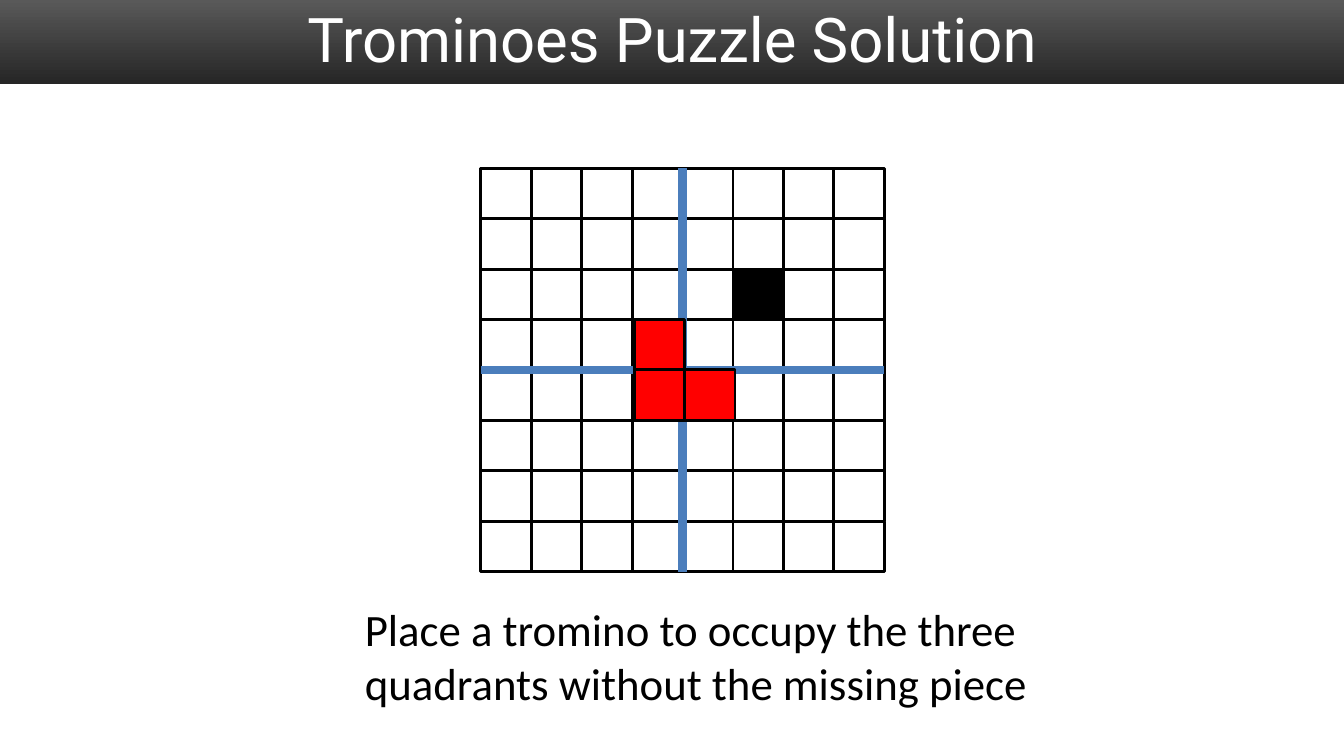
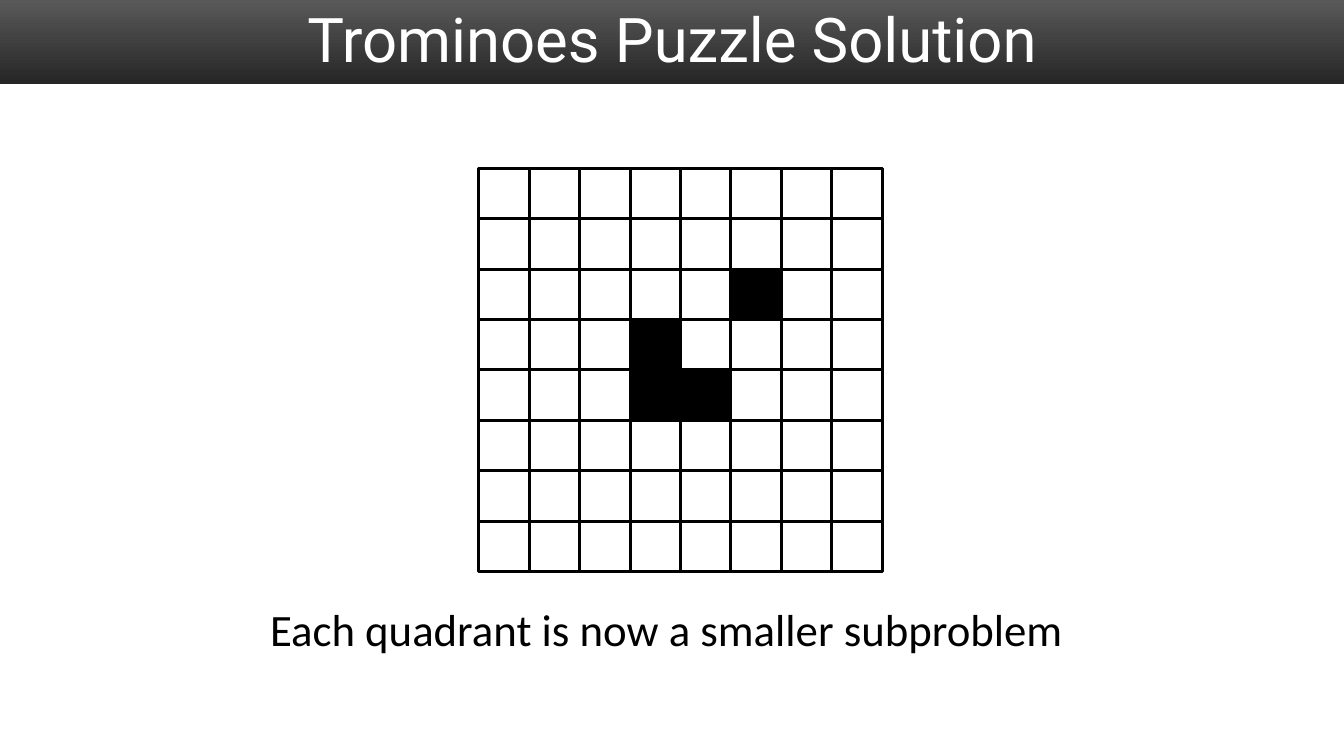
from dataclasses import dataclass
from itertools import product

from lxml.etree import SubElement
from pptx import Presentation
from pptx.dml.color import RGBColor
from pptx.enum.shapes import MSO_CONNECTOR as Wire, MSO_SHAPE as Form
from pptx.enum.text import MSO_ANCHOR as Anchor, MSO_AUTO_SIZE as Fit, PP_ALIGN as Align
from pptx.oxml.ns import qn
from pptx.shapes.shapetree import GroupShapes, SlideShapes
from pptx.slide import Slide
from pptx.text.text import TextFrame
from pptx.util import Inches, Pt

WIDE, HIGH, BAND = 13.33, 7.5, 0.83
BLACK, WHITE, RED, BLUE = "000000", "FFFFFF", "FF0000", "4B7EBC"
SHADES = ("595959", "262626")
TITLE = "Trominoes Puzzle Solution"
SIDE, COUNT, TOP = 0.5, 8, 1.67
HALF = COUNT // 2
HOLE = (2, 5)
PIECE = ((4, 4), (4, 3), (3, 3))


@dataclass(frozen=True)
class Box:
    left: float
    top: float
    width: float
    height: float

    def sizes(self) -> tuple[Inches, Inches, Inches, Inches]:
        return Inches(self.left), Inches(self.top), Inches(self.width), Inches(self.height)


@dataclass(frozen=True)
class Style:
    font: str
    size: int
    paint: str


@dataclass(frozen=True)
class Board:
    left: float
    black: tuple[tuple[int, int], ...]
    span: int

    def cell(self, row: int, col: int, shift: float = 0) -> Box:
        return Box(self.left + col * SIDE + shift, TOP + row * SIDE, SIDE, SIDE)


@dataclass(frozen=True)
class Page:
    board: Board
    text: str
    place: Box
    split: bool


HEAD = Style("Roboto", 44, WHITE)
BODY = Style("Calibri", 32, BLACK)
PAGES = (
    Page(
        Board(4.77, (HOLE,), COUNT),
        "Place a tromino to occupy the three quadrants without the missing piece",
        Box(3.52, 5.92, 7.01, 1.18),
        True,
    ),
    Page(
        Board(4.75, (HOLE, *PIECE), HALF),
        "Each quadrant is now a smaller subproblem",
        Box(2.58, 5.92, 8.17, 0.64),
        False,
    ),
)


def color(code: str) -> RGBColor:
    return RGBColor.from_string(code)


def add_text(slide: Slide, box: Box, text: str, style: Style) -> TextFrame:
    frame = slide.shapes.add_textbox(*box.sizes()).text_frame
    frame.word_wrap = True
    run = frame.paragraphs[0].add_run()
    run.text = text
    run.font.name = style.font
    run.font.size = Pt(style.size)
    run.font.color.rgb = color(style.paint)
    return frame


def add_head(slide: Slide) -> None:
    band = slide.shapes.add_shape(Form.RECTANGLE, *Box(0, 0, WIDE, BAND).sizes())
    band.shadow.inherit = False
    band.line.fill.background()
    band.fill.gradient()
    band.fill.gradient_angle = 270
    for stop, shade in zip(band.fill.gradient_stops, SHADES):
        stop.color.rgb = color(shade)
    frame = add_text(slide, Box(0.67, -0.25, 12, 1.25), TITLE, HEAD)
    frame.vertical_anchor = Anchor.MIDDLE
    frame.paragraphs[0].alignment = Align.CENTER


def add_cell(shapes: GroupShapes, box: Box, paint: str | None) -> None:
    cell = shapes.add_shape(Form.RECTANGLE, *box.sizes())
    cell.shadow.inherit = False
    cell.line.color.rgb = color(BLACK)
    cell.line.width = Pt(2)
    if paint:
        cell.fill.solid()
        cell.fill.fore_color.rgb = color(paint)
    else:
        cell.fill.background()


def add_board(shapes: SlideShapes, board: Board) -> None:
    starts = range(0, COUNT, board.span)
    for top, left in product(starts, starts):
        group = shapes.add_group_shape().shapes
        for row, col in product(range(top, top + board.span), range(left, left + board.span)):
            paint = BLACK if (row, col) in board.black else None
            add_cell(group, board.cell(row, col), paint)


def add_line(shapes: SlideShapes, start: Box, end: Box) -> None:
    ends = (start.left, start.top, end.left, end.top)
    line = shapes.add_connector(Wire.STRAIGHT, *map(Inches, ends))
    line.line.color.rgb = color(BLUE)
    line.line.width = Pt(6)
    SubElement(line._element.spPr, qn("a:effectLst"))


def add_split(shapes: SlideShapes, board: Board) -> None:
    add_line(shapes, board.cell(0, HALF), board.cell(COUNT, HALF))
    add_line(shapes, board.cell(HALF, COUNT), board.cell(HALF, 0))
    group = shapes.add_group_shape().shapes
    for row, col in PIECE:
        add_cell(group, board.cell(row, col, 0.02), RED)


def main() -> None:
    deck = Presentation()
    deck.slide_width, deck.slide_height = Inches(WIDE), Inches(HIGH)
    for page in PAGES:
        slide = deck.slides.add_slide(deck.slide_layouts[6])
        add_head(slide)
        add_board(slide.shapes, page.board)
        add_text(slide, page.place, page.text, BODY).auto_size = Fit.SHAPE_TO_FIT_TEXT
        if page.split:
            add_split(slide.shapes, page.board)
    deck.save("out.pptx")


if __name__ == "__main__":
    main()
